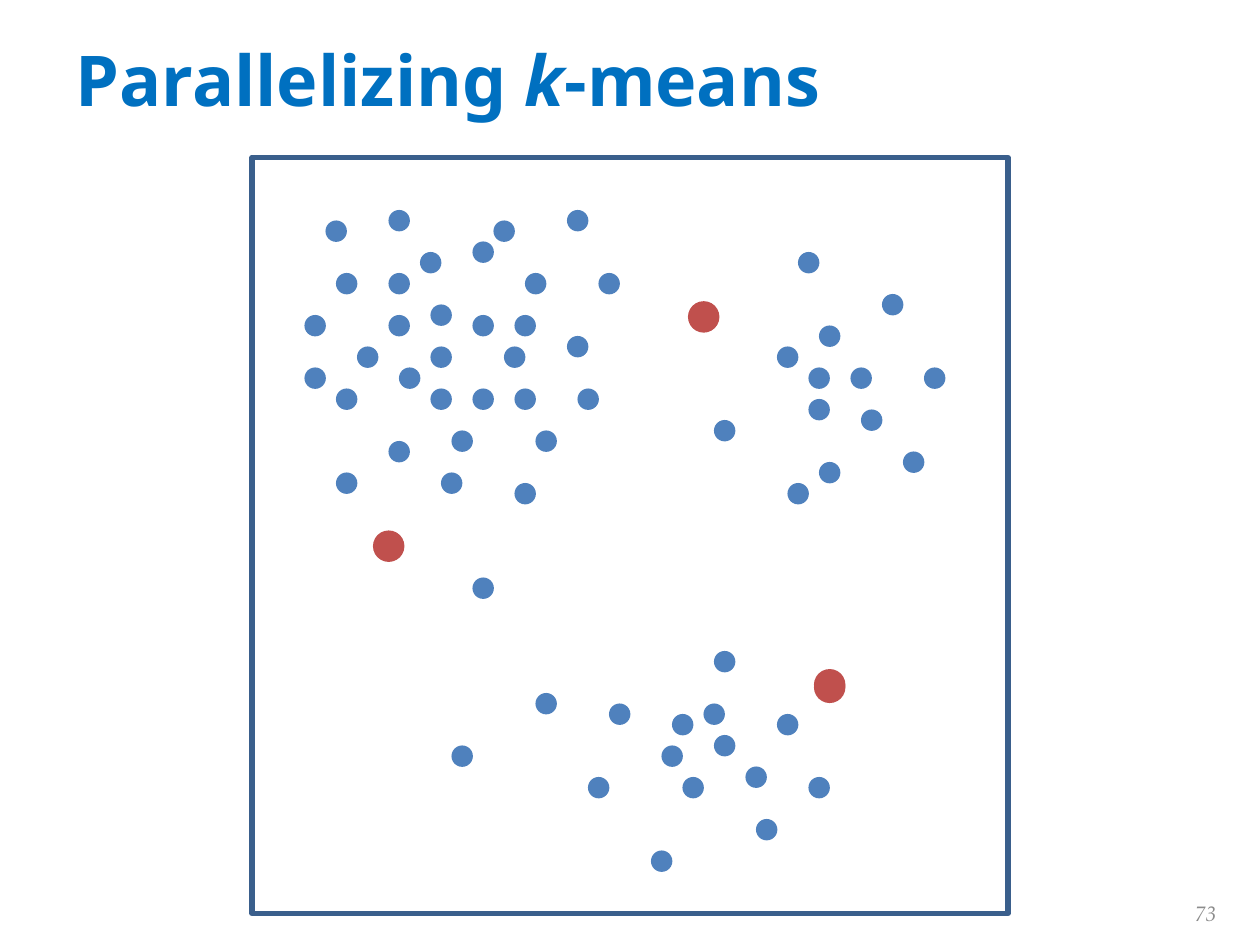
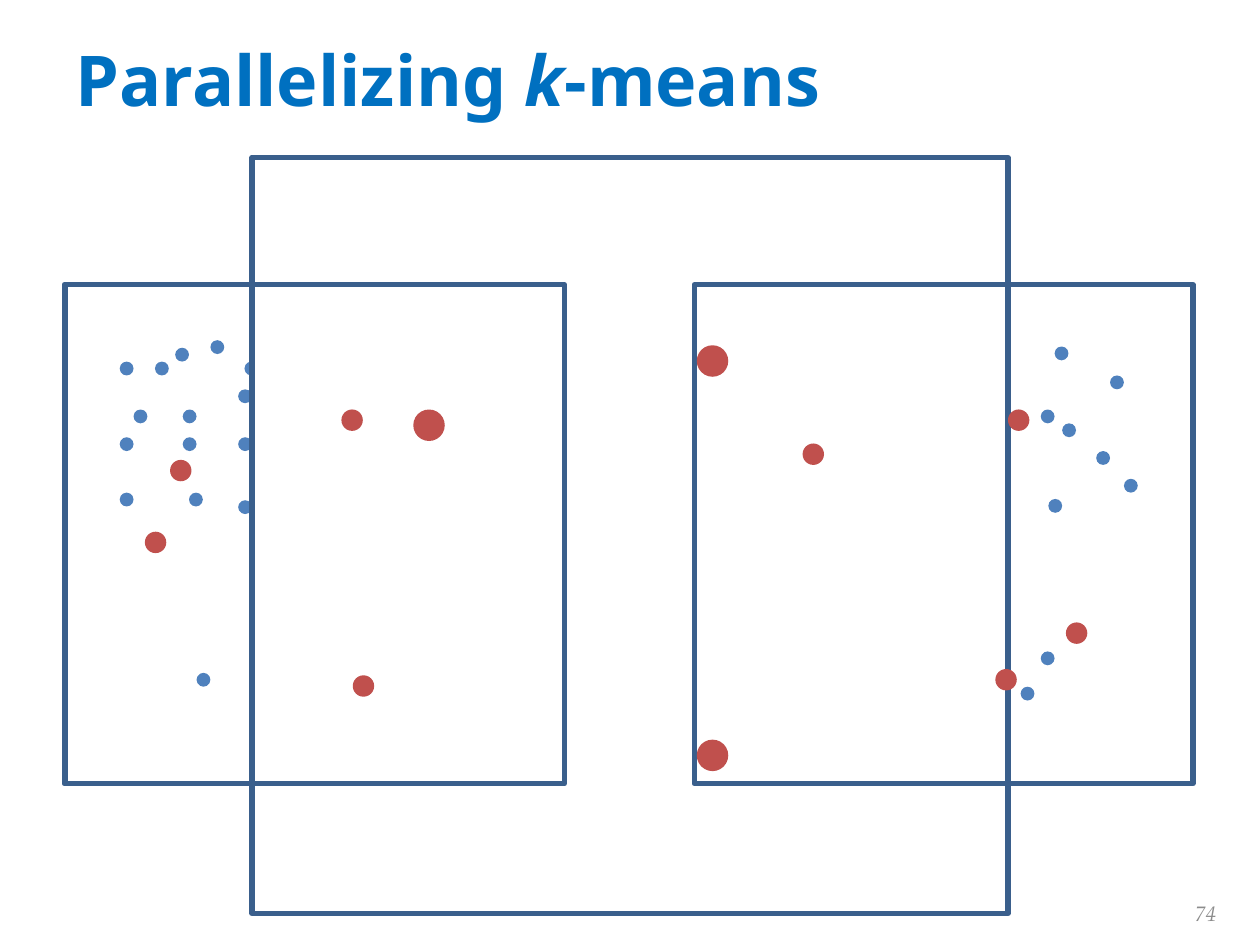
from pptx import Presentation
from pptx.dml.color import RGBColor as Rgb
from pptx.enum.shapes import MSO_SHAPE as Kind
from pptx.enum.text import MSO_ANCHOR as Anchor, PP_ALIGN as Align
from pptx.util import Inches, Pt

HUES = {"title": "0070C0", "point": "4F81BD", "center": "C0504D",
        "frame": "3A5F8C", "number": "8C8C8C", "white": "FFFFFF"}
HEAD = {"name": "Noto Sans", "size": Pt(40), "bold": True}
FOOT = {"name": "TeX Gyre Pagella", "size": Pt(12), "italic": True}

UNIT = 1 / 12
DOT, BIG = 0.17, 0.25
SMALL = 0.11
SQUARE = (2, 1.25, 6)
HALF = 3.96

# Rows of data points on a grid of twelfths of an inch: top -> lefts
ROWS = {
    20: (37, 54), 21: (31, 47), 23: (45,), 24: (40, 76),
    26: (32, 37, 50, 57), 28: (84,), 29: (41,), 30: (29, 37, 45, 49),
    31: (78,), 32: (54,), 33: (34, 41, 48, 74),
    35: (29, 38, 77, 81, 88), 37: (32, 41, 45, 49, 55), 38: (77,),
    39: (82,), 40: (68,), 41: (43, 51), 42: (37,), 43: (86,), 44: (78,),
    45: (32, 42), 46: (49, 75), 55: (45,), 62: (68,), 66: (51,),
    67: (58, 67), 68: (64, 74), 70: (68,), 71: (43, 63), 73: (71,),
    74: (56, 65, 77), 78: (72,), 81: (62,),
}
SEEDS = [(6.46, 5.33), (2.96, 4.21), (5.46, 2.39), (6.46, 5.31)]

LEFT = [
    (1.67, 2.7), (1.39, 2.76), (1.23, 2.87), (1.94, 2.87), (0.95, 2.87),
    (1.45, 3.25), (1.89, 3.09), (1.06, 3.25), (1.89, 3.47), (0.95, 3.47),
    (1.45, 3.47), (0.95, 3.91), (1.5, 3.91), (1.89, 3.97), (1.56, 5.34),
]
RIGHT = [
    (8.7, 3.58), (8.26, 3.25), (8.37, 2.75), (8.32, 3.96), (8.81, 2.98),
    (8.43, 3.36), (8.92, 3.8), (8.1, 5.45), (8.26, 5.17),
]
UNDER = [(1.15, 4.22), (8.46, 4.94)]
LOCAL = [(6.37, 3.52), (7.9, 5.31), (8, 3.25),
         (1.35, 3.65), (2.71, 3.25), (2.8, 5.36)]
MERGED = [(3.28, 3.25), (5.53, 2.74), (5.53, 5.87)]


class Deck:
    def __init__(self):
        self.file = Presentation()
        self.file.slide_width, self.file.slide_height = Inches(10), Inches(7.5)
        self.slide = None

    def style(self, font, form, hue, **more):
        for key, value in {**form, **more}.items():
            setattr(font, key, value)
        font.color.rgb = Rgb.from_string(HUES[hue])

    def place(self, shape, *box):
        for key, value in zip(("left", "top", "width", "height"), box):
            setattr(shape, key, Inches(value))

    def page(self, number):
        """Start a slide with its title and number."""
        self.slide = self.file.slides.add_slide(self.file.slide_layouts[5])
        title = self.slide.shapes.title
        self.place(title, 0.5, 0, 9, 1.25)
        title.text_frame.vertical_anchor = Anchor.MIDDLE
        para = title.text_frame.paragraphs[0]
        para.alignment = Align.LEFT
        for text in ("Parallelizing ", "k", "-means"):
            run = para.add_run()
            run.text = text
            self.style(run.font, HEAD, "title", italic=text == "k")

        box = [Inches(n) for n in (7.42, 7.05, 2.33, 0.4)]
        frame = self.slide.shapes.add_textbox(*box).text_frame
        frame.word_wrap = True
        frame.vertical_anchor = Anchor.MIDDLE
        para = frame.paragraphs[0]
        para.alignment = Align.RIGHT
        run = para.add_run()
        run.text = str(number)
        self.style(run.font, FOOT, "number")

    def shape(self, kind, left, top, size, fill=None, line=None):
        box = [Inches(n) for n in (left, top, size, size)]
        shape = self.slide.shapes.add_shape(kind, *box)
        shape.shadow.inherit = False
        if fill:
            shape.fill.solid()
            shape.fill.fore_color.rgb = Rgb.from_string(HUES[fill])
        else:
            shape.fill.background()
        if line:
            shape.line.color.rgb = Rgb.from_string(HUES[line])
            shape.line.width = Pt(3)
        else:
            shape.line.fill.background()

    def frame(self, left, top, size, fill=None):
        self.shape(Kind.RECTANGLE, left, top, size, fill, "frame")

    def dots(self, spots, size, hue):
        for left, top in spots:
            self.shape(Kind.OVAL, left, top, size, hue)


def main():
    deck = Deck()

    deck.page(73)
    deck.frame(*SQUARE)
    grid = [(x * UNIT, y * UNIT) for y, row in ROWS.items() for x in row]
    deck.dots(grid, DOT, "point")
    deck.dots(SEEDS, BIG, "center")

    deck.page(74)
    deck.dots(LEFT + RIGHT, SMALL, "point")
    deck.frame(0.51, 2.26, HALF)
    deck.dots(UNDER, DOT, "center")
    deck.frame(*SQUARE, fill="white")
    deck.dots(LOCAL, DOT, "center")
    for left in (5.51, 0.52):
        deck.frame(left, 2.26, HALF)
    deck.dots(MERGED, BIG, "center")

    deck.file.save("out.pptx")


if __name__ == "__main__":
    main()
